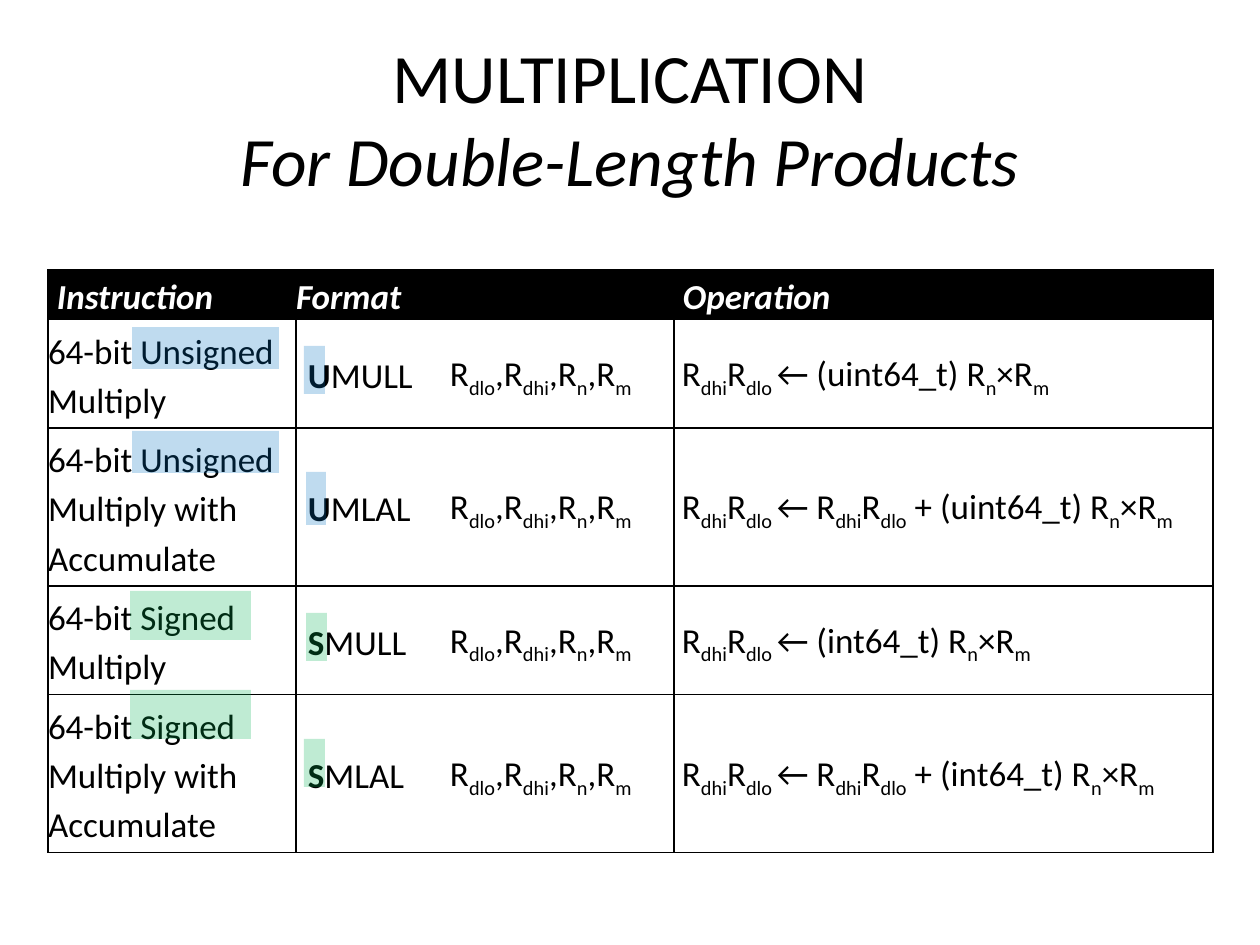
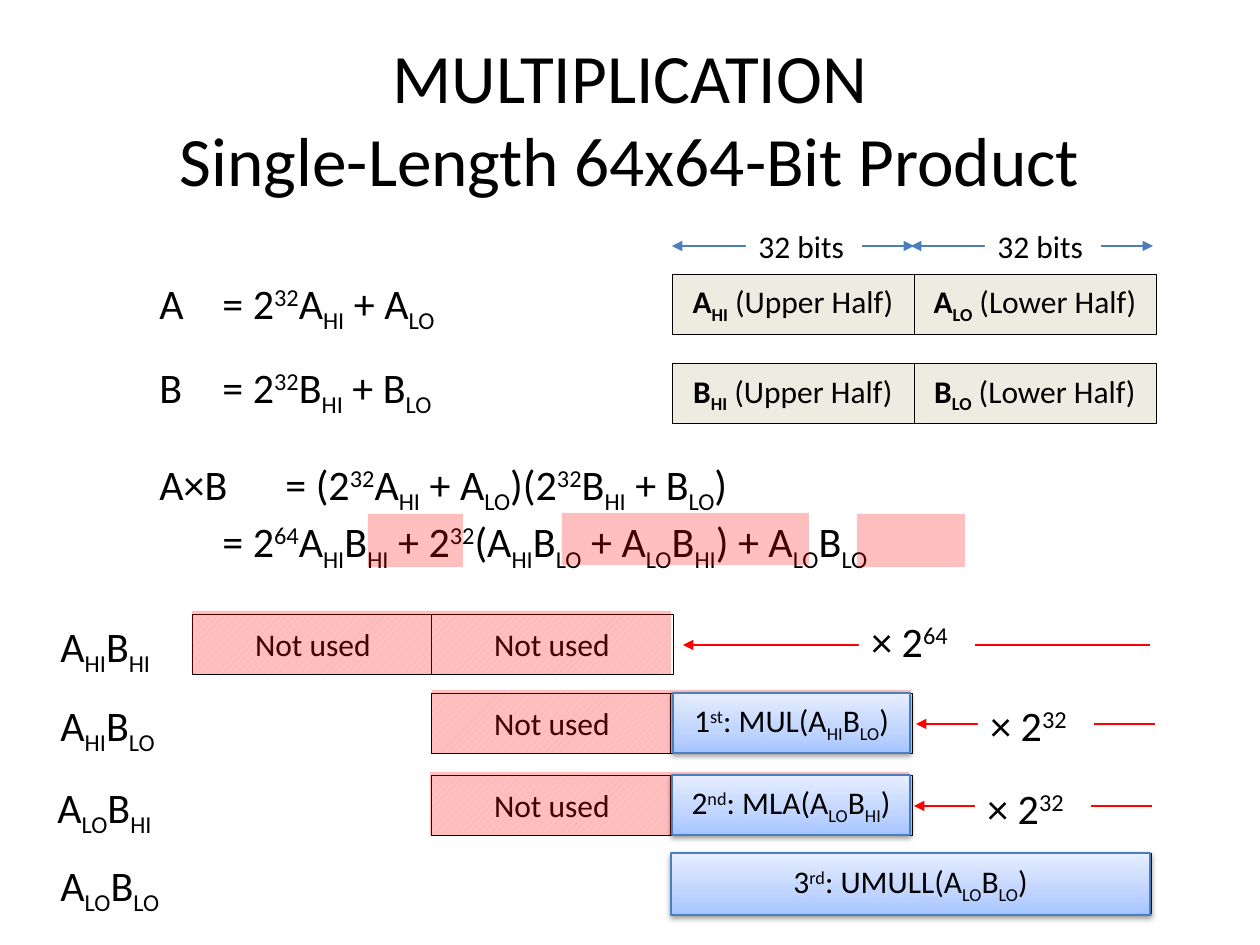
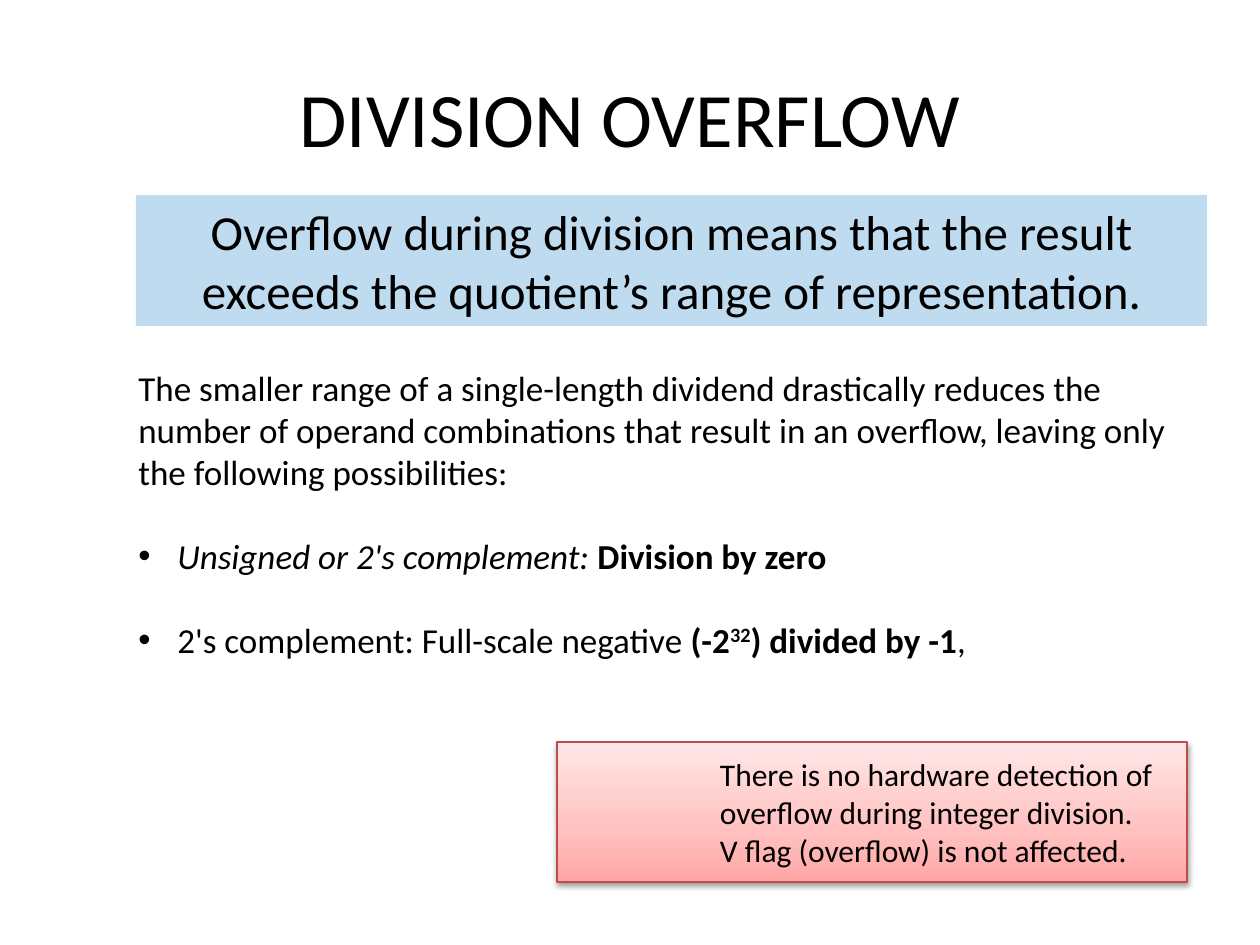
from lxml.etree import SubElement
from pptx import Presentation
from pptx.dml.color import RGBColor
from pptx.enum.dml import MSO_PATTERN
from pptx.enum.shapes import MSO_CONNECTOR, MSO_SHAPE
from pptx.enum.text import MSO_ANCHOR, PP_ALIGN
from pptx.oxml.ns import qn
from pptx.util import Emu, Pt

FONT = "Calibri"
BLACK, WHITE = "000000", "FFFFFF"
BLUE, GREEN, RED = "0070C0", "00B050", "FF0000"
BEIGE, STEEL, BRICK = "EEECE1", "4B7EBC", "BF4C48"
BLUE_GRADIENT = ((0, "A4C4FF"), (35, "BFD4FF"), (100, "E6EEFF"))
RED_GRADIENT = ((0, "FFA6A5"), (35, "FFC0BF"), (100, "FFE7E7"))
TITLE_BOX = (63, 38, 1134, 158)
HALF_WIDTH, HALF_HEIGHT = 242, 60
SUBSCRIPT, SUPERSCRIPT = -25000, 30000


def px(length):
    return Emu(round(length * 914400 / 126))


def color(hex_string):
    return RGBColor.from_string(hex_string)


# Text: [..] is subscript, <..> superscript, *..* bold, ~..~ italic
def split_markup(markup):
    pieces, text = [], ""
    bold = italic = False
    baseline = 0
    for character in markup + "\0":
        if character not in "[]<>*~\n\0":
            text += character
            continue
        if text:
            pieces.append((text, bold, italic, baseline))
            text = ""
        if character == "*":
            bold = not bold
        elif character == "~":
            italic = not italic
        elif character == "\n":
            pieces.append(("\n", bold, italic, 0))
        else:
            baseline = {"[": SUBSCRIPT, "<": SUPERSCRIPT}.get(character, 0)
    return pieces


def write_paragraph(paragraph, markup, size, ink=BLACK, align=PP_ALIGN.LEFT):
    paragraph.alignment = align
    for text, bold, italic, baseline in split_markup(markup):
        if text == "\n":
            paragraph.add_line_break()
            continue
        run = paragraph.add_run()
        run.text = text
        font = run.font
        font.name, font.size, font.bold, font.italic = FONT, Pt(size), bold, italic
        font.color.rgb = color(ink)
        if baseline:
            run._r.get_or_add_rPr().set("baseline", str(baseline))
    for line_break in paragraph._p.findall(qn("a:br")):
        SubElement(line_break, qn("a:rPr")).set("sz", str(round(size * 100)))


def indent(paragraph, left, first=0):
    properties = paragraph._p.get_or_add_pPr()
    properties.set("marL", str(px(left)))
    properties.set("indent", str(px(first)))
    return properties


def write_lines(shape, lines, size, align=PP_ALIGN.LEFT, anchor=MSO_ANCHOR.TOP):
    frame = shape.text_frame
    frame.word_wrap = True
    frame.vertical_anchor = anchor
    for index, line in enumerate(lines):
        paragraph = frame.add_paragraph() if index else frame.paragraphs[0]
        write_paragraph(paragraph, line, size, align=align)


# Shapes
def add_rectangle(slide, box, fill, outline=None, width=0.25):
    shape = slide.shapes.add_shape(MSO_SHAPE.RECTANGLE, *map(px, box))
    shape.shadow.inherit = False
    shape.fill.solid()
    shape.fill.fore_color.rgb = color(fill)
    if outline:
        shape.line.color.rgb = color(outline)
        shape.line.width = Pt(width)
    else:
        shape.line.fill.background()
    return shape


def add_highlight(slide, box, tint):
    shape = add_rectangle(slide, box, tint)
    tint_element = shape._element.spPr.find(qn("a:solidFill")).find(qn("a:srgbClr"))
    SubElement(tint_element, qn("a:alpha")).set("val", "25000")
    return shape


def add_gradient_box(slide, box, stops, outline):
    shape = add_rectangle(slide, box, WHITE, outline, 0.75)
    shape.fill.gradient()
    properties = shape._element.spPr
    gradient = properties.find(qn("a:gradFill"))
    for child in list(gradient):
        gradient.remove(child)
    stop_list = SubElement(gradient, qn("a:gsLst"))
    for position, stop_color in stops:
        stop = SubElement(stop_list, qn("a:gs"), pos=str(position * 1000))
        SubElement(stop, qn("a:srgbClr"), val=stop_color)
    SubElement(gradient, qn("a:lin"), ang="16200000", scaled="0")
    shadow = SubElement(properties.find(qn("a:effectLst")), qn("a:outerShdw"),
                        blurRad="40000", dist="20000", dir="5400000", rotWithShape="0")
    shadow_color = SubElement(shadow, qn("a:srgbClr"), val=BLACK)
    SubElement(shadow_color, qn("a:alpha"), val="38000")
    return shape


def add_text(slide, box, lines, size):
    shape = slide.shapes.add_textbox(*map(px, box))
    write_lines(shape, lines, size)
    return shape


def add_arrow(slide, start, end, y, ink, width, ends=("tailEnd",)):
    connector = slide.shapes.add_connector(
        MSO_CONNECTOR.STRAIGHT, px(start), px(y), px(end), px(y))
    connector.line.color.rgb = color(ink)
    connector.line.width = Pt(width)
    properties = connector._element.spPr
    for end_name in ends:
        SubElement(properties.find(qn("a:ln")), qn("a:" + end_name), type="triangle")
    SubElement(properties, qn("a:effectLst"))


def add_title_slide(presentation, title, size):
    slide = presentation.slides.add_slide(presentation.slide_layouts[5])
    shape = slide.shapes.title
    shape.left, shape.top, shape.width, shape.height = map(px, TITLE_BOX)
    write_lines(shape, [title], size, PP_ALIGN.CENTER, MSO_ANCHOR.MIDDLE)
    return slide


# Instruction table
def set_borders(cell, hidden):
    properties = cell._tc.get_or_add_tcPr()
    for side in "LRTB":
        line = SubElement(properties, qn("a:ln" + side), w="12700")
        if side == hidden:
            SubElement(line, qn("a:noFill"))
        else:
            fill = SubElement(line, qn("a:solidFill"))
            SubElement(fill, qn("a:srgbClr"), val=BLACK)


def format_cell(cell, markup, margins, ink, fill=None, hidden=None):
    set_borders(cell, hidden)
    cell.margin_left, cell.margin_top, cell.margin_right, cell.margin_bottom = map(px, margins)
    if fill:
        cell.fill.solid()
        cell.fill.fore_color.rgb = color(fill)
    else:
        cell.fill.background()
        cell.vertical_anchor = MSO_ANCHOR.MIDDLE
    paragraph = cell.text_frame.paragraphs[0]
    write_paragraph(paragraph, markup, 20, ink)
    paragraph.line_spacing = 1.15


def add_instruction_table(slide, left, top):
    registers = "R[dlo],R[dhi],R[n],R[m]"
    pair = "R[dhi]R[dlo]"
    rows = []
    for sign, letter, cast in (("Unsigned", "U", "uint64_t"), ("Signed", "S", "int64_t")):
        product = f"({cast}) R[n]×R[m]"
        rows.append((f"64-bit {sign} Multiply", f" *{letter}*MULL", registers,
                     f" {pair[:-1]} ]← {product}"))
        rows.append((f"64-bit {sign} Multiply with Accumulate", f" *{letter}*MLAL", registers,
                     f" {pair[:-1]} ]← {pair} + {product}"))
    widths, heights = (248, 154, 224, 539), (49, 108, 158, 108, 158)
    table = slide.shapes.add_table(
        5, 4, px(left), px(top), px(sum(widths)), px(sum(heights))).table
    table.first_row = table.horz_banding = False
    for column, width in zip(table.columns, widths):
        column.width = px(width)
    for row, height in zip(table.rows, heights):
        row.height = px(height)
    headings = (("*~Instruction~*", 9), ("*~Format~*", 0), ("", 0), ("*~Operation~*", 9))
    for column, (heading, margin) in enumerate(headings):
        format_cell(table.cell(0, column), heading, (margin, 0, 0, 0), WHITE, BLACK)
    table.cell(0, 1).merge(table.cell(0, 2))
    for row_index, row in enumerate(rows, 1):
        for column, markup in enumerate(row):
            margins = (4 if column == 1 else 0, 5, 0, 5)
            hidden = {1: "R", 2: "L"}.get(column)
            format_cell(table.cell(row_index, column), markup, margins, BLACK, hidden=hidden)


def build_double_length_slide(presentation):
    slide = add_title_slide(presentation, "MULTIPLICATION\n~For Double-Length Products~", 39.6)
    add_instruction_table(slide, 48, 270)
    for top in (327, 431):
        add_highlight(slide, (132, top, 147, 42), BLUE)
    for top in (591, 690):
        add_highlight(slide, (130, top, 121, 49), GREEN)
    for box, tint in (((304, 346, 21, 48), BLUE), ((306, 472, 20, 53), BLUE),
                      ((306, 613, 21, 48), GREEN), ((304, 739, 21, 48), GREEN)):
        add_highlight(slide, box, tint)


# 64x64-bit product
def add_half(slide, left, top, fill, text=None):
    shape = add_rectangle(slide, (left, top, HALF_WIDTH, HALF_HEIGHT), fill, BLACK)
    if text:
        write_lines(shape, [text], 18, PP_ALIGN.CENTER, MSO_ANCHOR.MIDDLE)
    return shape


def add_operands(slide, left, top):
    for column, (half, name) in enumerate((("HI", "Upper"), ("LO", "Lower"))):
        half_left = left + column * HALF_WIDTH
        arrow_left = left + column * 239
        add_arrow(slide, arrow_left, arrow_left + HALF_WIDTH, top - 28, STEEL, 0.75,
                  ("headEnd", "tailEnd"))
        label = add_rectangle(slide, (arrow_left + 74, top - 53, 116, 50), WHITE)
        write_lines(label, ["32 bits"], 18)
        for row, operand in enumerate("AB"):
            add_half(slide, half_left, top + row * 89, BEIGE,
                     f"*{operand}[{half}]* ({name} Half)")


def add_equations(slide, left):
    a_sum, b_sum = "2<32>A[HI] + A[LO]", "2<32>B[HI] + B[LO]"
    add_text(slide, (left, 271, 475, 63), ["A\t= " + a_sum], 24)
    add_text(slide, (left, 355, 462, 63), ["B\t= " + b_sum], 24)
    add_text(slide, (left, 452, 848, 115), [
        f"A×B\t= ({a_sum})({b_sum})",
        "\t= 2<64>A[HI]B[HI] + 2<32>(A[HI]B[LO] + A[LO]B[HI]) + A[LO]B[LO]"], 24)


def add_partial_product(slide, label, label_left, left, top, unused, shift=None):
    for column in range(2):
        is_unused = column < unused
        half = add_half(slide, left + column * 239, top, BEIGE, "Not used" if is_unused else None)
        if is_unused:
            half.fill.patterned()
            half.fill.pattern = MSO_PATTERN.WIDE_UPWARD_DIAGONAL
            half.fill.fore_color.rgb = color(BEIGE)
            half.fill.back_color.rgb = color(WHITE)
    add_text(slide, (label_left, top, 140, 63), [label], 24)
    if shift:
        power, start, end, factor_left, factor_top = shift
        add_arrow(slide, start, end, top + 31, RED, 1.5)
        factor = add_rectangle(slide, (factor_left, factor_top, 116, 63), WHITE)
        write_lines(factor, [f"× 2<{power}>"], 24)


def build_single_length_slide(presentation):
    slide = add_title_slide(presentation, "MULTIPLICATION\nSingle-Length 64x64-Bit Product", 39.6)
    add_highlight(slide, (672, 852, 479, 63), RED)
    add_operands(slide, 672, 274)
    add_equations(slide, 147)
    # Partial products
    add_partial_product(slide, "A[HI]B[HI]", 48, 192, 614, 2, (64, 1150, 683, 859, 609))
    add_partial_product(slide, "A[LO]B[LO]", 48, 670, 853, 0)
    add_partial_product(slide, "A[HI]B[LO]", 48, 431, 693, 1, (32, 1155, 916, 978, 693))
    add_partial_product(slide, "A[LO]B[HI]", 45, 431, 775, 1, (32, 1152, 914, 975, 776))
    # Highlighted terms and their products
    for box in ((368, 514, 95, 53), (562, 513, 247, 52), (857, 514, 108, 53)):
        add_highlight(slide, box, RED)
    for left, top in ((430, 772), (192, 611), (432, 690), (673, 853)):
        add_highlight(slide, (left, top, 479, 63), RED)
    # Multiply steps
    for box, step in (((671, 853, 479, 62), "3<rd>: UMULL(A[LO]B[LO])"),
                      ((672, 775, 238, 60), "2<nd>: MLA(A[LO]B[HI])"),
                      ((673, 693, 237, 60), "1<st>: MUL(A[HI]B[LO])")):
        shape = add_gradient_box(slide, box, BLUE_GRADIENT, STEEL)
        write_lines(shape, [step], 18, PP_ALIGN.CENTER, MSO_ANCHOR.MIDDLE)


# Division overflow
def add_overflow_cases(slide, box):
    shape = add_text(slide, box, [
        "The smaller range of a single-length dividend drastically reduces the number of "
        "operand combinations that result in an overflow, leaving only the following "
        "possibilities:",
        "~Unsigned or 2's complement: ~*Division by zero*",
        "2's complement: Full-scale negative *(-2<32>) divided by -1*,"], 20)
    for paragraph in shape.text_frame.paragraphs[1:]:
        paragraph.space_before = Pt(24)
        properties = indent(paragraph, 39, -39)
        SubElement(properties, qn("a:buFont"), typeface="Arial")
        SubElement(properties, qn("a:buChar"), char="•")


def add_hardware_note(slide, box):
    shape = add_gradient_box(slide, box, RED_GRADIENT, BRICK)
    write_lines(shape, ["There is no hardware detection of overflow during integer division. \n"
                        "V flag (overflow) is not affected."], 18)
    frame = shape.text_frame
    frame.margin_left = frame.margin_top = frame.margin_right = frame.margin_bottom = px(13)
    indent(frame.paragraphs[0], 150)


def build_overflow_slide(presentation):
    slide = add_title_slide(presentation, "DIVISION OVERFLOW", 44)
    add_overflow_cases(slide, (126, 360, 1071, 369))
    add_hardware_note(slide, (557, 742, 630, 140))
    banner = add_highlight(slide, (136, 195, 1071, 131), BLUE)
    write_lines(banner, ["Overflow during division means that the result exceeds the "
                         "quotient’s range of representation."], 28, PP_ALIGN.CENTER)


def main():
    presentation = Presentation()
    presentation.slide_width, presentation.slide_height = px(1260), px(945)
    build_double_length_slide(presentation)
    build_single_length_slide(presentation)
    build_overflow_slide(presentation)
    presentation.save("out.pptx")


if __name__ == "__main__":
    main()
